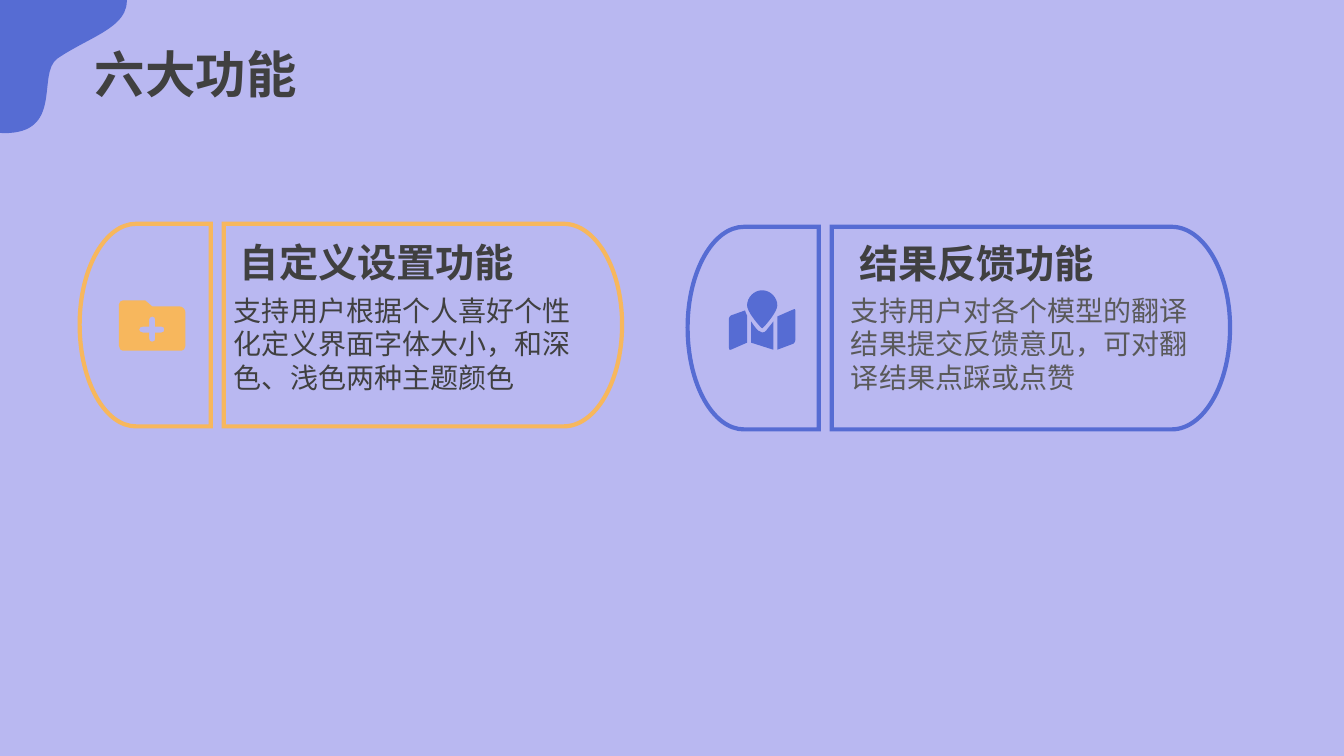
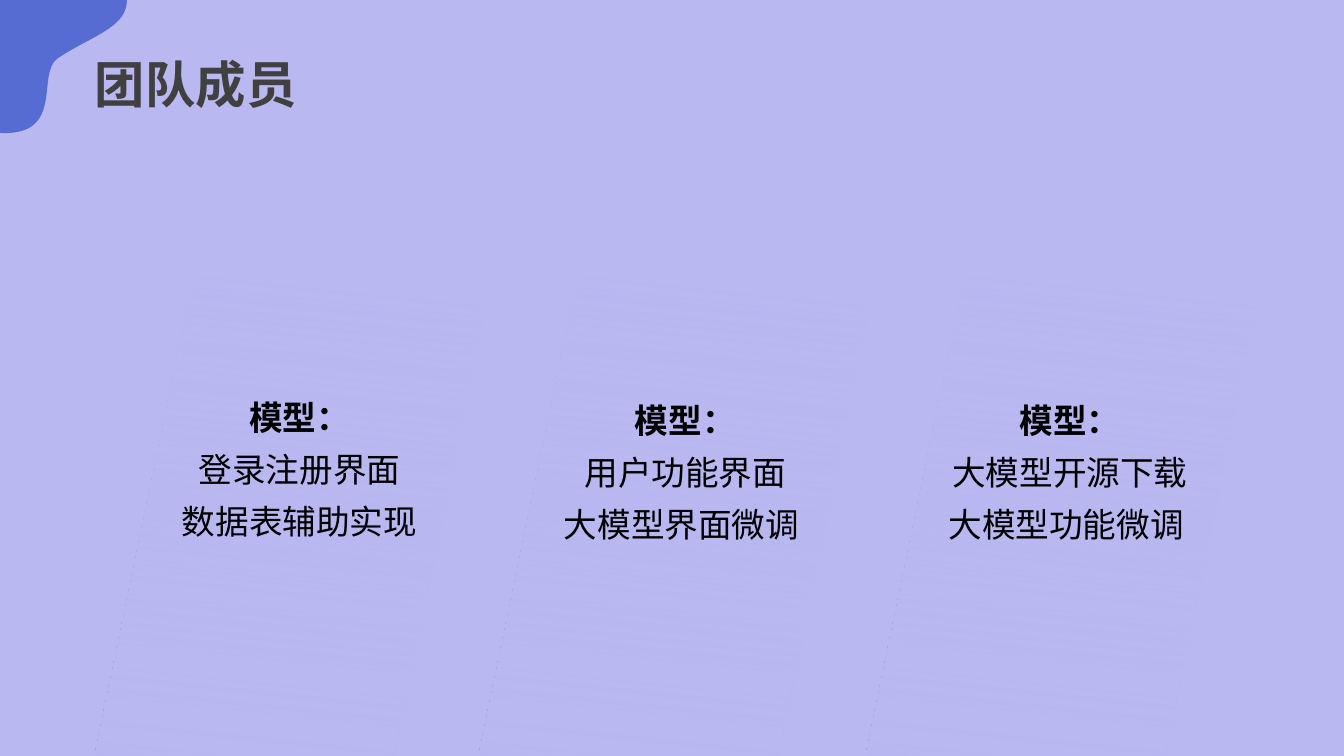
from math import cos, radians, sin

from lxml import etree
from pptx import Presentation
from pptx.dml.color import RGBColor
from pptx.enum.shapes import MSO_SHAPE
from pptx.enum.text import MSO_ANCHOR, MSO_AUTO_SIZE, PP_ALIGN
from pptx.oxml.ns import qn
from pptx.util import Inches, Pt

TOP, MIDDLE = MSO_ANCHOR.TOP, MSO_ANCHOR.MIDDLE
LEFT, CENTER = PP_ALIGN.LEFT, PP_ALIGN.CENTER
NO_FIT = MSO_AUTO_SIZE.NONE
PARALLELOGRAM = MSO_SHAPE.PARALLELOGRAM

COLORS = {
    "background": "B9B8F1",
    "blue": "566CD3",
    "orange": "F7B75D",
    "dark": "404040",
    "gray": "595959",
    "black": "000000",
}
FONT = "Noto Sans CJK SC"
COMPARISON, TITLE_ONLY = 4, 5
BLOB_TURN = 217

HALO_BOX = (-0.52, -1, 1.63, 2.68)
HALO = [
    [(-0.35, -0.17), (0.07, -0.73, 1.11, -1.03, 1.46, -0.38),
     (1.79, 0.22, 1.15, 0.31, 0.66, 0.66),
     (0.39, 0.85, 0.75, 1.63, -0.05, 1.62),
     (-0.78, 1.61, -0.76, 0.38, -0.35, -0.17)],
]
BLOB_BOX = (-0.33, -0.69, 1.25, 2.05)
BLOB = [
    [(-0.2, -0.05), (0.12, -0.48, 0.92, -0.71, 1.19, -0.21),
     (1.44, 0.24, 0.95, 0.32, 0.57, 0.58),
     (0.36, 0.73, 0.64, 1.33, 0.03, 1.32),
     (-0.53, 1.31, -0.51, 0.37, -0.2, -0.05)],
]
CARD_LEFT_END = [
    [(0.56, 0), (1.3, 0), (1.3, 2.01), (0.56, 2.01),
     (0.25, 2.01, 0, 1.56, 0, 1), (0, 0.45, 0.25, 0, 0.56, 0)],
]
CARD_RIGHT_END = [
    [(0, 0), (3.37, 0), (3.69, 0, 3.95, 0.45, 3.95, 1),
     (3.95, 1.56, 3.69, 2.01, 3.37, 2.01), (0, 2.01), (0, 0)],
]
FOLDER_ICON = [
    [(0.66, 0.43), (0.66, 0.45), (0.66, 0.48, 0.64, 0.5, 0.62, 0.5),
     (0.04, 0.5), (0.02, 0.5, 0, 0.48, 0, 0.45), (0, 0.04),
     (0, 0.02, 0.02, 0, 0.04, 0), (0.26, 0), (0.33, 0.06), (0.6, 0.06),
     (0.63, 0.06, 0.66, 0.09, 0.66, 0.12), (0.66, 0.43)],
    [(0.33, 0.16), (0.31, 0.16, 0.3, 0.18, 0.3, 0.19), (0.3, 0.26),
     (0.24, 0.26), (0.22, 0.26, 0.2, 0.27, 0.2, 0.29),
     (0.2, 0.31, 0.22, 0.32, 0.24, 0.32), (0.3, 0.32), (0.3, 0.38),
     (0.3, 0.4, 0.31, 0.41, 0.33, 0.41), (0.35, 0.41, 0.36, 0.4, 0.36, 0.38),
     (0.36, 0.32), (0.42, 0.32), (0.44, 0.32, 0.45, 0.31, 0.45, 0.29),
     (0.45, 0.27, 0.44, 0.26, 0.42, 0.26), (0.36, 0.26), (0.36, 0.19),
     (0.36, 0.18, 0.35, 0.16, 0.33, 0.16)],
]
MAP_ICON = [
    [(0.33, 0), (0.25, 0, 0.18, 0.07, 0.18, 0.15),
     (0.18, 0.21, 0.28, 0.33, 0.32, 0.37), (0.32, 0.38, 0.34, 0.38, 0.34, 0.37),
     (0.38, 0.33, 0.48, 0.21, 0.48, 0.15), (0.48, 0.07, 0.41, 0, 0.33, 0)],
    [(0.02, 0.25), (0.01, 0.26, 0, 0.27, 0, 0.28), (0, 0.57),
     (0, 0.59, 0.01, 0.6, 0.02, 0.59), (0.18, 0.52), (0.18, 0.25),
     (0.17, 0.23, 0.16, 0.21, 0.16, 0.2), (0.02, 0.25)],
    [(0.33, 0.42), (0.31, 0.42, 0.3, 0.41, 0.29, 0.4),
     (0.26, 0.37, 0.24, 0.34, 0.22, 0.31), (0.22, 0.52), (0.44, 0.59),
     (0.44, 0.31), (0.42, 0.34, 0.39, 0.37, 0.37, 0.4),
     (0.36, 0.41, 0.35, 0.42, 0.33, 0.42)],
    [(0.64, 0.19), (0.48, 0.26), (0.48, 0.59), (0.64, 0.53),
     (0.65, 0.52, 0.66, 0.51, 0.66, 0.49), (0.66, 0.2),
     (0.66, 0.19, 0.65, 0.18, 0.64, 0.19)],
]

FEATURES = [
    {
        "origin": (0.79, 2.22), "accent": "orange",
        "icon": FOLDER_ICON, "icon_box": (0.39, 0.76, 0.67, 0.5),
        "heading": "自定义设置功能", "heading_box": (1.49, 0.09, 3.86, 0.57),
        "detail": "支持用户根据个人喜好个性化定义界面字体大小，和深色、浅色两种主题颜色",
        "detail_box": (1.43, 0.64, 3.76, 1.37), "detail_color": "dark",
    },
    {
        "origin": (6.82, 2.25), "accent": "blue",
        "icon": MAP_ICON, "icon_box": (0.41, 0.63, 0.67, 0.6),
        "heading": "结果反馈功能", "heading_box": (1.6, 0.07, 3.54, 0.57),
        "detail": "支持用户对各个模型的翻译结果提交反馈意见，可对翻译结果点踩或点赞",
        "detail_box": (1.52, 0.61, 3.71, 1.14), "detail_color": "gray",
    },
]
PANEL_LEFTS = [4.75, 8.59, 0.94]
MEMBERS = [
    ((1.06, 3.08, 3.82, 3.03), ["模型：", "登录注册界面", "数据表辅助实现"]),
    ((8.54, 3.11, 4.07, 3.03), [" 模型：", " 大模型开源下载", "大模型功能微调"]),
    ((4.79, 3.11, 3.94, 3.03), [" 模型：", " 用户功能界面", "大模型界面微调"]),
]


def rgb(name):
    return RGBColor.from_string(COLORS[name])


def turned_back(contours, box):
    left, top, width, height = box
    c, s = cos(radians(BLOB_TURN)), sin(radians(BLOB_TURN))

    def turn(step):
        result = []
        for x, y in zip(step[::2], step[1::2]):
            dx, dy = x - left - width / 2, y - top - height / 2
            result += [width / 2 + dx * c + dy * s, height / 2 - dx * s + dy * c]
        return tuple(result)

    return [[turn(step) for step in contour] for contour in contours]


def draw_outline(slide, contours, box, fill=None, line=None):
    builder = slide.shapes.build_freeform(0, 0, scale=1.0)
    builder.add_line_segments([(Inches(1), Inches(1))])
    outline = builder.convert_to_shape()
    outline.left, outline.top, outline.width, outline.height = map(Inches, box)
    route = next(outline._element.iter(qn("a:path")))
    for old in list(route):
        route.remove(old)
    route.set("w", str(outline.width))
    route.set("h", str(outline.height))
    for contour in contours:
        for number, step in enumerate(contour):
            tag = "a:moveTo" if number == 0 else (
                "a:lnTo" if len(step) == 2 else "a:cubicBezTo")
            command = etree.SubElement(route, qn(tag))
            for x, y in zip(step[::2], step[1::2]):
                point = etree.SubElement(command, qn("a:pt"))
                point.set("x", str(int(Inches(x))))
                point.set("y", str(int(Inches(y))))
        etree.SubElement(route, qn("a:close"))
    outline.shadow.inherit = False
    if fill:
        outline.fill.solid()
        outline.fill.fore_color.rgb = rgb(fill)
    else:
        outline.fill.background()
    if line:
        outline.line.color.rgb = rgb(line)
        outline.line.width = Pt(3)
        miter = etree.SubElement(outline.line._get_or_add_ln(), qn("a:miter"))
        miter.set("lim", "800000")
    else:
        outline.line.fill.background()
    return outline


def write(holder, box, lines, size, spacing, color, bold_lines=1,
          align=LEFT, anchor=TOP, margins=(0.1, 0.05)):
    holder.left, holder.top, holder.width, holder.height = map(Inches, box)
    frame = holder.text_frame
    frame.text = "\n".join(lines)
    frame.word_wrap = True
    frame.auto_size = NO_FIT
    frame.vertical_anchor = anchor
    frame.margin_left = frame.margin_right = Inches(margins[0])
    frame.margin_top = frame.margin_bottom = Inches(margins[1])
    for number, paragraph in enumerate(frame.paragraphs):
        properties = paragraph._p.get_or_add_pPr()
        properties.set("marL", "0")
        properties.set("indent", "0")
        etree.SubElement(properties, qn("a:buNone"))
        paragraph.alignment = align
        paragraph.space_before = Pt(0)
        paragraph.line_spacing = Pt(spacing)
        for run in paragraph.runs:
            run.font.name = FONT
            run.font.size = Pt(size)
            run.font.bold = number < bold_lines
            run.font.color.rgb = rgb(color)
            east_asian = etree.SubElement(run.font._element, qn("a:ea"))
            east_asian.set("typeface", FONT)


def start_slide(prs, layout, title, title_top):
    slide = prs.slides.add_slide(prs.slide_layouts[layout])
    halo = draw_outline(slide, turned_back(HALO, HALO_BOX), HALO_BOX, "background")
    slide.shapes.title._element.addprevious(halo._element)
    blob = draw_outline(slide, turned_back(BLOB, BLOB_BOX), BLOB_BOX, "blue")
    halo.rotation = blob.rotation = BLOB_TURN
    write(slide.shapes.title, (0.94, title_top, 3.17, 0.64), [title],
          36, 43.5, "dark", margins=(0, 0))
    return slide


def feature_card(slide, feature, heading, detail):
    left, top = feature["origin"]

    def place(x, y, width, height):
        return left + x, top + y, width, height

    accent = feature["accent"]
    draw_outline(slide, CARD_LEFT_END, place(0, 0, 1.3, 2.01), line=accent)
    draw_outline(slide, CARD_RIGHT_END, place(1.43, 0, 3.95, 2.01), line=accent)
    draw_outline(slide, feature["icon"], place(*feature["icon_box"]), fill=accent)
    write(heading, place(*feature["heading_box"]),
          [feature["heading"]], 28, 33.6, "dark")
    write(detail, place(*feature["detail_box"]),
          [feature["detail"]], 20, 24, feature["detail_color"], bold_lines=0)


def features_slide(prs):
    slide = start_slide(prs, COMPARISON, "六大功能", 0.42)
    slots = list(slide.placeholders)[1:]
    for feature, heading, detail in zip(FEATURES, slots[::2], slots[1::2]):
        feature_card(slide, feature, heading, detail)


def add_slanted(slide, box):
    slanted = slide.shapes.add_shape(PARALLELOGRAM, *map(Inches, box))
    slanted.shadow.inherit = False
    slanted.fill.background()
    slanted.line.fill.background()
    return slanted


def fading_panel(slide, box):
    fill = add_slanted(slide, box).fill
    fill.gradient()
    fill.gradient_angle = 84
    for stop, position, opacity in zip(fill.gradient_stops, (0, 0.94), (74, 0)):
        stop.position = position
        stop.color.rgb = rgb("background")
        tint = next(stop._gs.iter(qn("a:srgbClr")))
        etree.SubElement(tint, qn("a:alpha")).set("val", str(opacity * 1000))


def members_slide(prs):
    slide = start_slide(prs, TITLE_ONLY, "团队成员", 0.52)
    for left in PANEL_LEFTS:
        fading_panel(slide, (left, 2.72, 3.94, 4.78))
    for box, duties in MEMBERS:
        write(add_slanted(slide, box), box, duties, 24, 37.2, "black",
              align=CENTER, anchor=MIDDLE)


def main():
    prs = Presentation()
    prs.slide_width, prs.slide_height = Inches(13.33), Inches(7.5)
    backdrop = prs.slide_master.background.fill
    backdrop.solid()
    backdrop.fore_color.rgb = rgb("background")
    features_slide(prs)
    members_slide(prs)
    prs.save("out.pptx")


if __name__ == "__main__":
    main()
